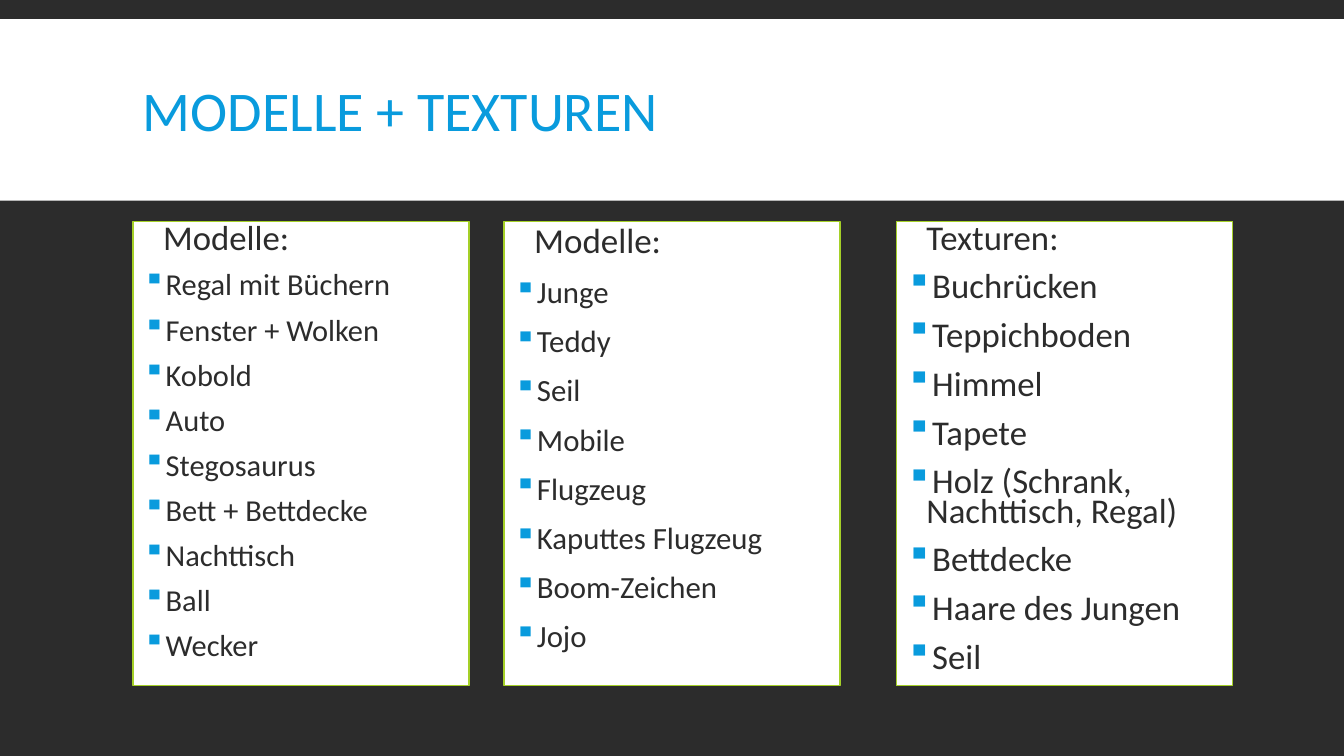
"""Build the slide listing models and textures in three columns."""
from lxml.etree import SubElement
from pptx import Presentation
from pptx.dml.color import RGBColor
from pptx.enum.shapes import MSO_SHAPE
from pptx.enum.text import MSO_ANCHOR, PP_ALIGN
from pptx.oxml.ns import qn
from pptx.util import Inches, Pt

TITLE = "MODELLE + TEXTUREN"
COLUMNS = [
    dict(left=1.32, spacing=0.7, head_size=24.8, item_size=21.7, head="Modelle:",
         items=["Regal mit Büchern", "Fenster + Wolken", "Kobold", "Auto", "Stegosaurus",
                "Bett + Bettdecke", "Nachttisch", "Ball", "Wecker"]),
    dict(left=5, spacing=0.8, head_size=25, item_size=22, head="Modelle:",
         items=["Junge", "Teddy", "Seil", "Mobile", "Flugzeug",
                "Kaputtes Flugzeug", "Boom-Zeichen", "Jojo"]),
    dict(left=8.89, spacing=0.7, head_size=24.8, item_size=24.8, head="Texturen:",
         items=["Buchrücken", "Teppichboden", "Himmel", "Tapete",
                "Holz (Schrank, Nachttisch, Regal)", "Bettdecke",
                "Haare des Jungen", "Seil"]),
]
COLORS = dict(dark="2C2C2C", white="FFFFFF", blue="099BDD", green="A5D028")
FONT = "Calibri"
WIDTH, HEIGHT = 13.33, 7.5
CARD_TOP, CARD_WIDTH, CARD_HEIGHT = 2.2, WIDTH / 4, 4.6
INDENT = 0.2


def rgb(name):
    return RGBColor.from_string(COLORS[name])


def add_box(slide, left, top, width, height, line=None):
    sp = slide.shapes.add_shape(MSO_SHAPE.RECTANGLE, Inches(left), Inches(top),
                                Inches(width), Inches(height))
    sp.shadow.inherit = False
    sp.fill.solid()
    sp.fill.fore_color.rgb = rgb("white")
    if line:
        sp.line.color.rgb = rgb(line)
        sp.line.width = Pt(1)
    else:
        sp.line.fill.background()
    return sp


def style_text(p, size, color, spacing):
    p.alignment = PP_ALIGN.LEFT
    p.line_spacing = spacing
    for r in p.runs:
        r.font.name = FONT
        r.font.size = Pt(size)
        r.font.color.rgb = rgb(color)


def set_indent(p, bullet):
    pPr = p._p.get_or_add_pPr()
    pPr.set("marL", str(Inches(INDENT)))
    pPr.set("indent", str(-Inches(INDENT) if bullet else 0))
    if bullet:
        clr = SubElement(pPr, qn("a:buClr"))
        SubElement(clr, qn("a:srgbClr"), val=COLORS["blue"])
        SubElement(pPr, qn("a:buChar"), char="▪")
    else:
        SubElement(pPr, qn("a:buNone"))


def add_column(slide, column):
    sp = add_box(slide, column["left"], CARD_TOP, CARD_WIDTH, CARD_HEIGHT, "green")
    tf = sp.text_frame
    tf.word_wrap = True
    tf.vertical_anchor = MSO_ANCHOR.TOP
    tf.text = "\n".join([column["head"], *column["items"]])
    for i, p in enumerate(tf.paragraphs):
        set_indent(p, bullet=i > 0)
        size = column["item_size"] if i else column["head_size"]
        style_text(p, size, "dark", column["spacing"])
        p.space_before = Pt(12 if i else 0)
        p.space_after = Pt(2)


def add_title(slide):
    tb = slide.shapes.add_textbox(Inches(1.32), Inches(0.31), Inches(10.7), Inches(1.65))
    tf = tb.text_frame
    tf.word_wrap = True
    tf.vertical_anchor = MSO_ANCHOR.MIDDLE
    tf.text = TITLE
    style_text(tf.paragraphs[0], 40, "blue", 0.85)


def main():
    prs = Presentation()
    prs.slide_width, prs.slide_height = Inches(WIDTH), Inches(HEIGHT)
    s = prs.slides.add_slide(prs.slide_layouts[6])
    s.background.fill.solid()
    s.background.fill.fore_color.rgb = rgb("dark")
    add_box(s, 0, 0.19, WIDTH, 1.8)
    add_title(s)
    for column in COLUMNS:
        add_column(s, column)
    prs.save("out.pptx")


if __name__ == "__main__":
    main()
